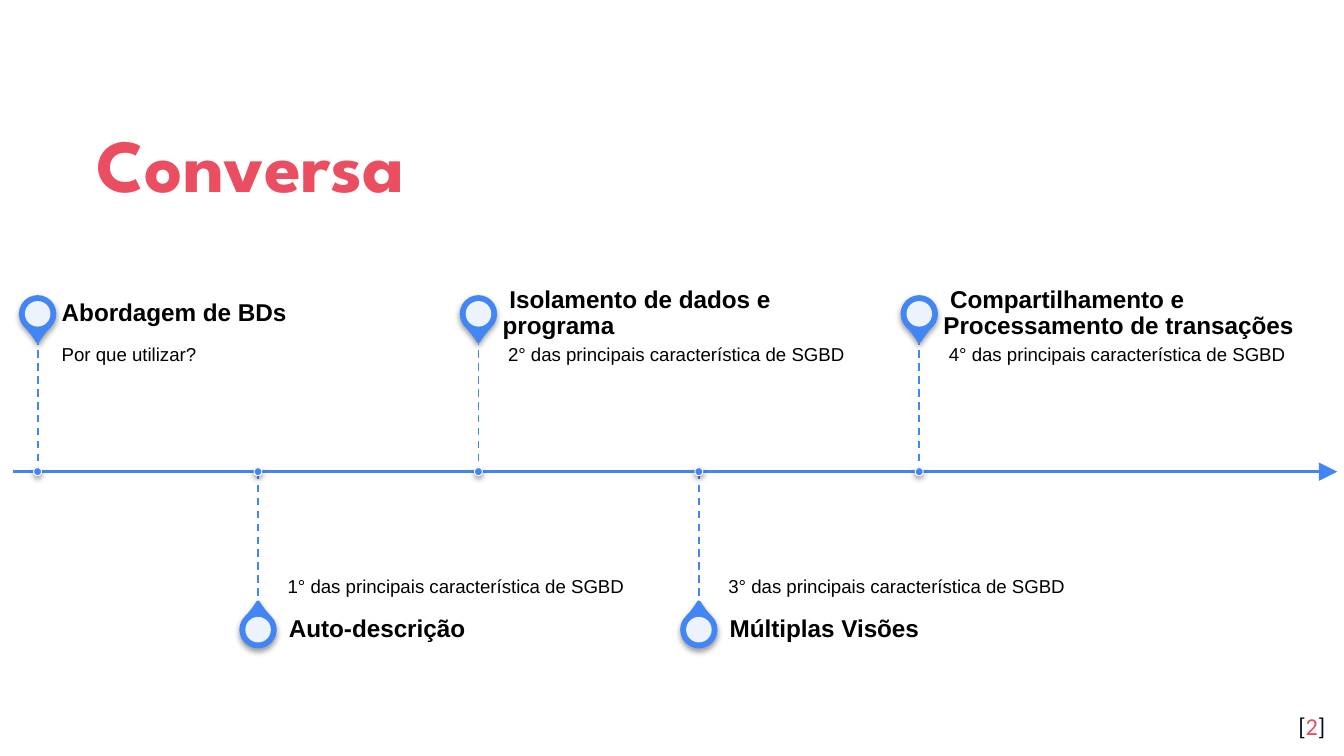
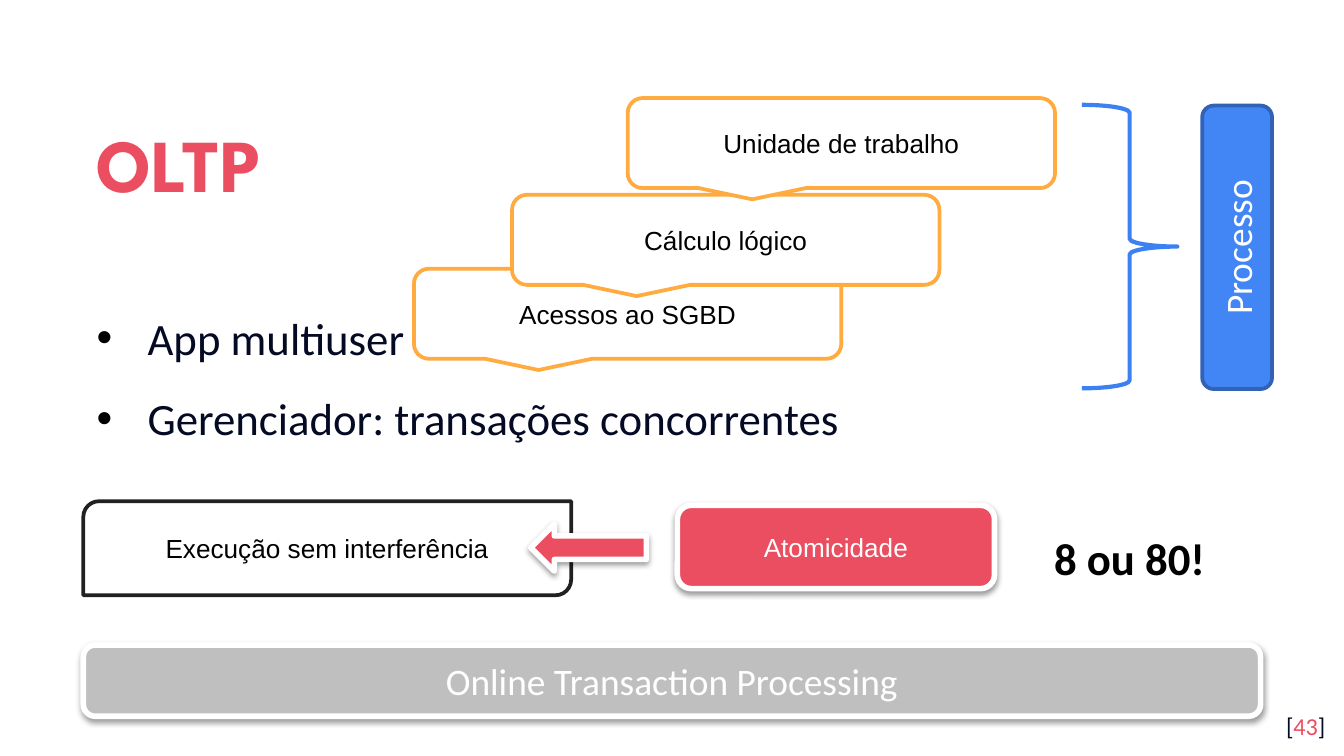
from dataclasses import dataclass

from lxml.etree import SubElement
from pptx import Presentation
from pptx.dml.color import RGBColor
from pptx.enum.dml import MSO_LINE
from pptx.enum.shapes import MSO_CONNECTOR, MSO_SHAPE as Preset
from pptx.enum.text import MSO_ANCHOR as Anchor, PP_ALIGN as Align
from pptx.oxml.ns import qn
from pptx.util import Inches, Pt


@dataclass(frozen=True)
class Theme:
    red: str = "EA4E60"
    navy: str = "040A24"
    blue: str = "4285F4"
    dark_blue: str = "3162B5"
    brace_blue: str = "3C81F3"
    orange: str = "FFAB40"
    gray: str = "BFBFBF"
    charcoal: str = "212121"
    black: str = "000000"
    white: str = "FFFFFF"
    title_font: str = "League Spartan"
    body_font: str = "Calibri"
    label_font: str = "Arial"
    title_size: int = 40
    body_size: int = 24
    banner_size: int = 20
    label_size: int = 14
    small_size: int = 13
    note_size: int = 10


THEME = Theme()

TALK = {
    "title": "Conversa",
    "number": "2",
    # heading, note, first line indented
    "stops": [
        ("Abordagem de BDs", "Por que utilizar?", False),
        ("Auto-descrição", "1° das principais característica de SGBD", True),
        ("Isolamento de dados e programa", "2° das principais característica de SGBD", True),
        ("Múltiplas Visões", "3° das principais característica de SGBD", True),
        ("Compartilhamento e Processamento de transações",
         "4° das principais característica de SGBD", True),
    ],
}
OLTP = {
    "title": "OLTP",
    "number": "43",
    "bullets": ["App multiuser", "Gerenciador: transações concorrentes"],
    "banner": "Online Transaction Processing",
    # text, left, top
    "callouts": [
        ("Acessos ao SGBD", 3.08, 2),
        ("Cálculo lógico", 3.81, 1.45),
        ("Unidade de trabalho", 4.67, 0.73),
    ],
    "process": "Processo",
    "execution": "Execução sem interferência",
    "atomicity": "Atomicidade",
    "remark": "8 ou 80!",
}

EVEN_INSETS = (0.1, 0.1, 0.1, 0.1)
SHAPE_INSETS = (0.1, 0.05, 0.1, 0.05)


def rgb(color):
    return RGBColor.from_string(color)


def write(box, paragraphs, *, font, size, color=THEME.black, bold=False, align=Align.LEFT,
          anchor=Anchor.TOP, insets=EVEN_INSETS, spacing=None, before=None,
          left=0, indent=0, bullet=None):
    """Fill a box; each paragraph is a string or a list of (text, color) spans."""
    frame = box.text_frame
    frame.word_wrap = True
    frame.vertical_anchor = anchor
    (frame.margin_left, frame.margin_top,
     frame.margin_right, frame.margin_bottom) = map(Inches, insets)
    for index, content in enumerate(paragraphs):
        para = frame.add_paragraph() if index else frame.paragraphs[0]
        para.alignment = align
        if spacing:
            para.line_spacing = spacing
        if before:
            para.space_before = Pt(before)
        properties = para._p.get_or_add_pPr()
        properties.set("marL", str(Inches(left)))
        properties.set("indent", str(Inches(indent)))
        if bullet:
            tint = SubElement(properties, qn("a:buClr"))
            SubElement(tint, qn("a:srgbClr"), val=THEME.black)
            SubElement(properties, qn("a:buFont"), typeface=THEME.label_font)
            SubElement(properties, qn("a:buChar"), char=bullet)
        spans = [(content, color)] if isinstance(content, str) else content
        for text, span_color in spans:
            span = para.add_run()
            span.text = text
            span.font.name = font
            span.font.size = Pt(size)
            span.font.bold = bold
            span.font.color.rgb = rgb(span_color)


def add_text(page, place, paragraphs, **text_format):
    box = page.shapes.add_textbox(*map(Inches, place))
    write(box, paragraphs, **text_format)
    return box


def add_preset(page, preset, place, *, fill=None, line=None, width=2, rotation=0,
               shadow=False, opacity=None):
    shape = page.shapes.add_shape(preset, *map(Inches, place))
    shape.rotation = rotation
    if fill:
        shape.fill.solid()
        shape.fill.fore_color.rgb = rgb(fill)
    else:
        shape.fill.background()
    if line:
        shape.line.color.rgb = rgb(line)
        shape.line.width = Pt(width)
    else:
        shape.line.fill.background()
    properties = shape._element.spPr
    if opacity is not None:
        tint = properties.find(qn("a:solidFill"))[0]
        SubElement(tint, qn("a:alpha"), val=str(opacity * 1000))
    shape.shadow.inherit = False
    if shadow:
        effect = SubElement(properties.find(qn("a:effectLst")), qn("a:outerShdw"),
                            blurRad=str(Pt(3.1)), dist=str(Pt(1.6)), dir="5400000",
                            algn="bl", rotWithShape="0")
        tint = SubElement(effect, qn("a:srgbClr"), val=THEME.black)
        SubElement(tint, qn("a:alpha"), val="38000")
    return shape


def add_label(page, preset, place, text, *, font=THEME.label_font, size=THEME.label_size,
              color=THEME.black, **shape_format):
    """Add a preset shape with one centred line of text."""
    shape = add_preset(page, preset, place, **shape_format)
    write(shape, [text], font=font, size=size, color=color, align=Align.CENTER,
          anchor=Anchor.MIDDLE, insets=SHAPE_INSETS)


def add_line(page, start, end, *, width, dashed=False, arrow=False):
    line = page.shapes.add_connector(MSO_CONNECTOR.STRAIGHT, *map(Inches, start + end))
    line.line.color.rgb = rgb(THEME.blue)
    line.line.width = Pt(width)
    if dashed:
        line.line.dash_style = MSO_LINE.DASH
    properties = line._element.spPr
    if arrow:
        SubElement(properties.find(qn("a:ln")), qn("a:tailEnd"), type="triangle",
                   w="lg", len="lg")
    SubElement(properties, qn("a:effectLst"))


def centred(x, y, size):
    return x - size / 2, y - size / 2, size, size


def add_page(deck, content):
    """Add a blank page with the shared title and page number."""
    page = deck.slides.add_slide(deck.slide_layouts[6])
    page.background.fill.solid()
    page.background.fill.fore_color.rgb = rgb(THEME.white)
    add_text(page, (0.62, 0.7, 8.77, 0.92), [content["title"]], font=THEME.title_font,
             size=THEME.title_size, color=THEME.red, bold=True, anchor=Anchor.MIDDLE,
             spacing=1.15)
    number = [("[", THEME.navy), (content["number"], THEME.red), ("]", THEME.navy)]
    add_text(page, (9.36, 5.19, 0.6, 0.43), [number], font=THEME.body_font,
             size=THEME.small_size, align=Align.RIGHT)
    return page


def build_timeline(deck):
    page = add_page(deck, TALK)
    axis, stem, first, step = 3.51, 1, 0.28, 1.64
    text_gap, text_width, heading_height = 0.18, 2.73, 0.35
    add_line(page, (0.1, axis), (9.95, axis), width=1.5, arrow=True)
    for index, (heading, note, indented) in enumerate(TALK["stops"]):
        x = first + index * step
        above = index % 2 == 0
        side = -1 if above else 1
        stem_end = axis + side * stem
        pin_y = stem_end + side * 0.175
        pin = add_preset(page, Preset.TEAR, centred(x, pin_y, 0.25), fill=THEME.blue,
                         line=THEME.blue, rotation=135 if above else 315, shadow=True)
        pin.adjustments[0] = 1.15
        add_preset(page, Preset.OVAL, centred(x, pin_y, 0.19), fill=THEME.white, opacity=90)
        left = x + text_gap
        add_text(page, (left, min(axis, stem_end), text_width, stem), [note],
                 font=THEME.label_font, size=THEME.note_size, spacing=0.9,
                 indent=0.04 if indented else 0,
                 anchor=Anchor.TOP if above else Anchor.BOTTOM,
                 insets=(0, 0.07, 0.07, 0.1) if above else (0, 0.1, 0, 0.07))
        heading_top = stem_end - heading_height if above else stem_end
        add_text(page, (left, heading_top, text_width, heading_height), [heading],
                 font=THEME.label_font, size=THEME.small_size, bold=True, spacing=0.9,
                 indent=0.05 if indented else 0, anchor=Anchor.MIDDLE,
                 insets=(0, 0, 0.09, 0))
        add_line(page, (x, min(axis, stem_end)), (x, max(axis, stem_end)),
                 width=1, dashed=True)
        add_preset(page, Preset.OVAL, centred(x, axis, 0.06), fill=THEME.blue,
                   line=THEME.white, width=0.5, shadow=True)


def build_oltp(deck):
    page = add_page(deck, OLTP)
    raised = {"line": THEME.white, "width": 3, "shadow": True}
    large = {"font": THEME.body_font, "size": THEME.banner_size, "color": THEME.white}
    add_text(page, (0.62, 1.62, 6.36, 3.37), OLTP["bullets"], font=THEME.body_font,
             size=THEME.body_size, color=THEME.navy, align=Align.JUSTIFY,
             anchor=Anchor.MIDDLE, insets=(0.1, 0.1, 0.1, 1.15), spacing=1.15, before=10,
             left=0.38, indent=-0.38, bullet="•")
    add_label(page, Preset.ROUNDED_RECTANGLE, (0.62, 4.8, 8.76, 0.53), OLTP["banner"],
              fill=THEME.gray, **large, **raised)
    for text, left, top in OLTP["callouts"]:
        add_label(page, Preset.ROUNDED_RECTANGULAR_CALLOUT, (left, top, 3.18, 0.67), text,
                  fill=THEME.white, line=THEME.orange)
    add_preset(page, Preset.RIGHT_BRACE, (8.05, 0.78, 0.71, 2.11),
               line=THEME.brace_blue, width=2.25)
    add_label(page, Preset.ROUNDED_RECTANGLE, (8.15, 1.58, 2.11, 0.52), OLTP["process"],
              fill=THEME.blue, line=THEME.dark_blue, rotation=270, **large)
    add_label(page, Preset.ROUND_2_DIAG_RECTANGLE, (0.62, 3.73, 3.63, 0.7),
              OLTP["execution"], fill=THEME.white, line=THEME.charcoal)
    add_preset(page, Preset.LEFT_ARROW, (3.95, 3.9, 0.86, 0.35), fill=THEME.red, **raised)
    add_label(page, Preset.ROUNDED_RECTANGLE, (5.04, 3.76, 2.36, 0.62), OLTP["atomicity"],
              fill=THEME.red, color=THEME.white, **raised)
    add_text(page, (7.51, 3.9, 1.79, 0.5), [OLTP["remark"]], font=THEME.body_font,
             size=THEME.body_size, bold=True, align=Align.CENTER, insets=SHAPE_INSETS)


def main():
    deck = Presentation()
    deck.slide_width = Inches(10)
    deck.slide_height = deck.slide_width * 9 // 16
    build_timeline(deck)
    build_oltp(deck)
    deck.save("out.pptx")


if __name__ == "__main__":
    main()
